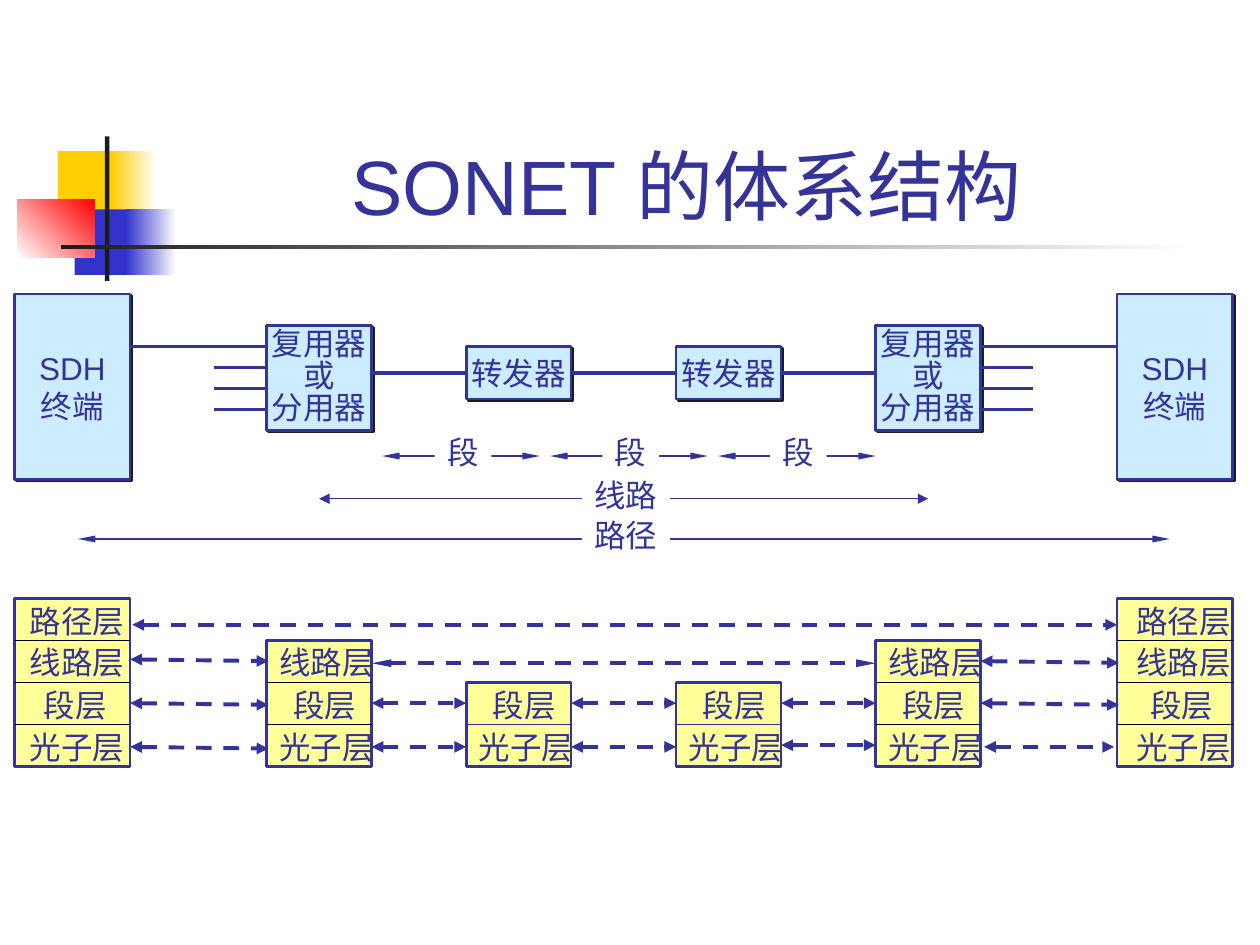
"""Build the SONET architecture slide."""
from lxml.etree import SubElement
from pptx import Presentation
from pptx.dml.color import RGBColor
from pptx.enum.dml import MSO_LINE
from pptx.enum.shapes import MSO_CONNECTOR, MSO_SHAPE
from pptx.enum.text import MSO_ANCHOR, PP_ALIGN
from pptx.oxml import parse_xml
from pptx.oxml.ns import nsdecls, qn
from pptx.util import Pt

rgb = RGBColor.from_string
NAVY, YELLOW, SKY, WHITE, BLACK = "333399", "FFFF99", "CCECFF", "FFFFFF", "000000"
SHADOW = (f'<a:effectLst {nsdecls("a")}><a:outerShdw dist="17780" dir="2700000" algn="ctr" rotWithShape="0">'
          '<a:srgbClr val="1C1C1C"/></a:outerShdw></a:effectLst>')


def add(text, x, y, w, h, fill=None, border=None, size=18, center=False,
        anchor=MSO_ANCHOR.TOP, spacing=None, wrap=False):
    box = [Pt(v) for v in (x, y, w, h)]
    if fill:
        sp = s.shapes.add_shape(MSO_SHAPE.RECTANGLE, *box)
        sp.shadow.inherit = False
        sp.fill.solid()
        sp.fill.fore_color.rgb = rgb(fill)
        if border:
            sp.line.color.rgb = rgb(border)
            sp.line.width = Pt(1.5)
        else:
            sp.line.fill.background()
    else:
        sp = s.shapes.add_textbox(*box)
    tf = sp.text_frame
    tf.word_wrap = wrap
    tf.vertical_anchor = anchor
    for i, part in enumerate(text.split("\n") if text else []):
        p = tf.add_paragraph() if i else tf.paragraphs[0]
        p.alignment = PP_ALIGN.CENTER if center else PP_ALIGN.LEFT
        if spacing:
            p.line_spacing = spacing
        r = p.add_run()
        r.text = part
        r.font.name = "Arial"
        r.font.size = Pt(size)
        r.font.color.rgb = rgb(NAVY)
    return sp


def line(x1, y1, x2, y2, width=0.75, color=NAVY, dash=False, arrow=None):
    ln = s.shapes.add_connector(MSO_CONNECTOR.STRAIGHT, Pt(x1), Pt(y1), Pt(x2), Pt(y2))
    ln.line.color.rgb = rgb(color)
    ln.line.width = Pt(width)
    if dash:
        ln.line.dash_style = MSO_LINE.DASH
    if arrow:
        for end in ("a:headEnd", "a:tailEnd"):
            SubElement(ln.line._get_or_add_ln(), qn(end), type="triangle", w=arrow[0], len=arrow[1])
    SubElement(ln._element.spPr, qn("a:effectLst"))


prs = Presentation()
prs.slide_width, prs.slide_height = Pt(720), Pt(540)
s = prs.slides.add_slide(prs.slide_layouts[6])

for x, y, w, h, start, end, angle in [
    (33.1, 86.4, 34.5, 37.4, "FFCF01", None, 0),
    (63.4, 86.4, 26, 37.4, "FFCF01", WHITE, 0),
    (42.7, 119.7, 33.1, 37.4, "3333CC", None, 0),
    (72, 119.7, 28.8, 37.4, "3333CC", WHITE, 0),
    (9.9, 113.8, 44.1, 33.3, WHITE, "FF0000", 45),
    (60, 78, 2.5, 82.6, "1C1C1C", None, 0),
    (34.8, 140.1, 648, 2.5, "1C1C1C", WHITE, 0),
]:
    sp = add("", x, y, w, h, fill=start)
    if end:
        sp.fill.gradient()
        sp.fill.gradient_angle = angle
        for stop, color in zip(sp.fill.gradient_stops, (start, end)):
            stop.color.rgb = rgb(color)

add("SONET 的体系结构 ", 90.7, 20.2, 613.4, 115.2, size=44, center=True,
    anchor=MSO_ANCHOR.BOTTOM, wrap=True)

# Each station: left, width, node top, node height, node text, layer count, label offset
LAYERS = ["路径层", "线路层", "段层", "光子层"]
TERMINAL, MUX, REPEATER = "SDH\n终端", "复用器\n或\n分用器", "转发器"
ROW, TOP = 24, 342
stations = [
    (8.4, 66, 168, 106, TERMINAL, 4, 1.6),
    (152.4, 60, 186, 60, MUX, 3, 0),
    (266.4, 60, 198, 30, REPEATER, 2, 0),
    (386.4, 60, 198, 30, REPEATER, 2, 0),
    (500.4, 60, 186, 60, MUX, 3, 0),
    (638.4, 66, 168, 106, TERMINAL, 4, 3.8),
]
for x, w, y, h, text, count, dx in stations:
    sp = add(text, x, y, w, h, fill=SKY, border=NAVY, center=True,
             anchor=MSO_ANCHOR.MIDDLE, spacing=0.85 if text == MUX else None)
    sp._element.spPr.remove(sp._element.spPr.find(qn("a:effectLst")))
    sp._element.spPr.append(parse_xml(SHADOW))
    first = len(LAYERS) - count
    add("", x, TOP + first * ROW, w, count * ROW, fill=YELLOW, border=NAVY)
    for i in range(first, len(LAYERS)):
        y = TOP + i * ROW
        if i > first:
            line(x, y, x + w, y, color=NAVY if text == REPEATER else BLACK)
        inset = 8 if LAYERS[i] == "段层" else 0
        add(LAYERS[i], x + dx + inset, y - 1.8, 68.4 - 2.25 * inset, 28.8)

for x1, x2 in [(212.4, 266.4), (326.4, 386.4), (446.4, 500.4)]:
    line(x1, 213, x2, 213, width=2.25)
for x1, x2, stub in [(74.4, 152.4, 122.4), (560.4, 638.4, 590.4)]:
    line(x1, 198, x2, 198, width=1.5)
    edge = x2 if x2 < 360 else x1
    for y in (210, 222, 234):
        line(min(edge, stub), y, max(edge, stub), y, width=1.5)

MEDIUM, LONG = ("med", "med"), ("sm", "lg")
for x1, x2, y, arrow, text, left, w in [
    (182.4, 530.4, 285, MEDIUM, "线路", 332.6, 50.4),
    (44.6, 668.4, 308, LONG, "路径", 332.6, 50.4),
    (218.4, 308.4, 260.6, LONG, "段", 248.4, 32.4),
    (314.4, 404.4, 260.6, LONG, "段", 344.2, 32.4),
    (410.4, 500.4, 260.6, LONG, "段", 440, 32.4),
]:
    line(x1, y, x2, y, arrow=arrow)
    add(text, left, y - 16.8, w, 28.8, fill=WHITE)

for x1, y1, x2, y2, arrow in [
    (75.6, 357, 638.4, 357, MEDIUM),
    (74.4, 376.8, 153.4, 377.8, MEDIUM),
    (212.4, 379, 500.4, 379, LONG),
    (560.4, 377.8, 639.4, 378.8, MEDIUM),
    (74.4, 401.8, 153.4, 402.8, MEDIUM),
    (212.4, 401.8, 266.4, 401.8, MEDIUM),
    (326.4, 401.8, 386.4, 401.8, MEDIUM),
    (446.4, 401.8, 500.4, 401.8, MEDIUM),
    (560.4, 401.8, 639.4, 402.8, MEDIUM),
    (74.4, 426.8, 153.4, 427.8, MEDIUM),
    (212.4, 426.8, 266.4, 426.8, MEDIUM),
    (326.4, 426.8, 386.4, 426.8, MEDIUM),
    (446.4, 425.8, 500.4, 425.8, MEDIUM),
    (562.4, 426.8, 636.6, 426.8, MEDIUM),
]:
    line(x1, y1, x2, y2, width=2.25, dash=True, arrow=arrow)

prs.save("out.pptx")
